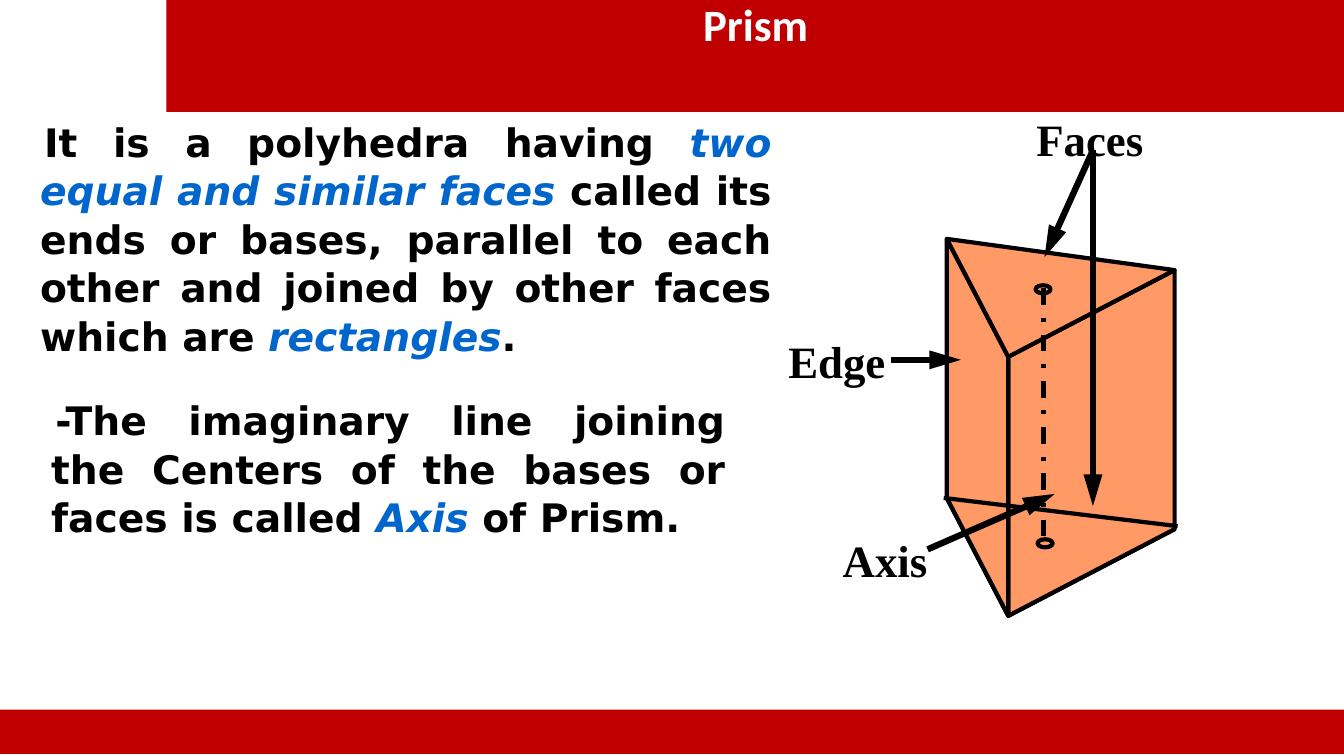
import pptx
import pptx.dml.color
import pptx.enum.dml
import pptx.enum.shapes
import pptx.enum.text
import pptx.oxml.ns
import pptx.util
from lxml import etree

PX = 9144
RED, BLACK, WHITE, BLUE, ORANGE = "C00000", "000000", "FFFFFF", "0066CC", "FF9966"
ALIGN = pptx.enum.text.PP_ALIGN
SHAPES = pptx.enum.shapes.MSO_SHAPE


def px(length):
    """Turn pixels, a hundred to the inch, into EMU."""
    return pptx.util.Emu(length * PX)


def color(value):
    """Turn a hex string into a colour."""
    return pptx.dml.color.RGBColor.from_string(value)


def paint(shape, fill=None, line=None):
    """Set the fill and outline of a shape, and drop its shadow."""
    shape.shadow.inherit = False
    if fill:
        shape.fill.solid()
        shape.fill.fore_color.rgb = color(fill)
    else:
        shape.fill.background()
    if line:
        shape.line.color.rgb = color(line)
        shape.line.width = pptx.util.Pt(3)
    else:
        shape.line.fill.background()


def write(frame, text, font="DejaVu Sans", size=28, ink=BLACK, accent=BLUE,
          align=ALIGN.LEFT, spacing=1.0, margin=0, indent=0, inset_top=5, inset_bottom=5):
    """Write one bold paragraph, with parts between asterisks as italic accents."""
    frame.word_wrap = True
    frame.vertical_anchor = pptx.enum.text.MSO_ANCHOR.TOP
    frame.margin_top, frame.margin_bottom = px(inset_top), px(inset_bottom)
    paragraph = frame.paragraphs[0]
    paragraph.alignment = align
    paragraph.line_spacing = spacing
    if margin:
        properties = paragraph._p.get_or_add_pPr()
        properties.set("marL", str(px(margin)))
        properties.set("indent", str(px(indent)))
    for position, part in enumerate(text.split("*")):
        emphasized = position % 2 == 1
        run = paragraph.add_run()
        run.text = part
        run.font.name = font
        run.font.size = pptx.util.Pt(size)
        run.font.bold = True
        run.font.italic = emphasized
        run.font.color.rgb = color(accent if emphasized else ink)


def band(slide, left, top, width, height):
    """Draw a red band across the slide."""
    bar = slide.shapes.add_shape(SHAPES.RECTANGLE, px(left), px(top), px(width), px(height))
    paint(bar, RED)
    return bar


def text_box(slide, text, left, top, width, height, **style):
    """Place a text box."""
    box = slide.shapes.add_textbox(px(left), px(top), px(width), px(height))
    write(box.text_frame, text, **style)


def definition(slide, text, left, top, width, height):
    """Place a justified paragraph of the explanation."""
    text_box(slide, text, left, top, width, height, align=ALIGN.JUSTIFY,
             spacing=1.03, margin=38, indent=4)


def segment(slide, start, end, width=3, dash=None, arrow=False):
    """Draw a straight black line, dashed or with an arrowhead if asked."""
    line = slide.shapes.add_connector(
        pptx.enum.shapes.MSO_CONNECTOR.STRAIGHT, *map(px, start + end))
    line.line.color.rgb = color(BLACK)
    line.line.width = pptx.util.Pt(width)
    if dash:
        line.line.dash_style = dash
    if arrow:
        etree.SubElement(line.line._get_or_add_ln(), pptx.oxml.ns.qn("a:tailEnd"),
                         type="triangle", w="med", len="lg")
    etree.SubElement(line._element.spPr, pptx.oxml.ns.qn("a:effectLst"))


def prism(slide, left, top, width, height):
    """Draw the triangular prism with its axis inside the given box."""
    depth = 257
    back_left, back_right = (left, top), (left + width, top + 31)
    front = (left + 61, top + height - depth)
    low_left, low_right, low_front = [(x, y + depth) for x, y in (back_left, back_right, front)]
    for face in ((low_front, low_right, low_left),
                 (low_front, front, back_right, low_right),
                 (low_left, back_left, front, low_front),
                 (front, back_right, back_left)):
        outline = slide.shapes.build_freeform(*face[0], scale=PX)
        outline.add_line_segments(face[1:], close=True)
        paint(outline.convert_to_shape(), ORANGE, BLACK)
    axis_x = left + 96
    segment(slide, (axis_x, top + 49), (axis_x, top + 49 + depth),
            dash=pptx.enum.dml.MSO_LINE.DASH_DOT)
    segment(slide, (left - 3, top + depth), (left + width + 3, top + depth + 28))
    for x, y in ((left + 88, top + 46), (left + 90, top + 298)):
        center = slide.shapes.add_shape(SHAPES.OVAL, px(x), px(y), px(15), px(8))
        paint(center, line=BLACK)


def callout(slide, name, left, top, width, start, tips):
    """Place a label and arrows, given relative to the label, to what it names."""
    origin = (left + start[0], top + start[1])
    for x, y in tips:
        segment(slide, origin, (left + x, top + y), width=4.5, arrow=True)
    text_box(slide, name, left, top, width, 58, font="Times New Roman", size=32,
             inset_top=10, inset_bottom=0)


def prism_slide(slide):
    """Lay out the slide about the prism."""
    header = band(slide, 165, -2, 1169, 113)
    write(header.text_frame, "Prism", font="Calibri", size=32, ink=WHITE,
          align=ALIGN.CENTER, spacing=0.9)
    band(slide, 0, 704, 1333, 44)
    definition(slide, "It is a polyhedra having *two equal and similar faces* called its ends "
               "or bases, parallel to each other and joined by other faces which are "
               "*rectangles*.", -8, 111, 783, 246)
    definition(slide, "-The imaginary line joining the Centers of the bases or faces is "
               "called *Axis* of Prism.", 3, 387, 726, 151)
    prism(slide, 939, 237, 226, 374)
    callout(slide, "Axis", 826, 518, 116, (94, 27), [(220, -28)])
    callout(slide, "Faces", 1018, 101, 149, (66, 48), [(18, 154), (66, 401)])
    callout(slide, "Edge", 772, 321, 149, (112, 36), [(181, 36)])


def main():
    """Build and save the presentation."""
    deck = pptx.Presentation()
    deck.slide_width, deck.slide_height = px(1333), px(750)
    prism_slide(deck.slides.add_slide(deck.slide_layouts[6]))
    deck.save("out.pptx")


if __name__ == "__main__":
    main()
